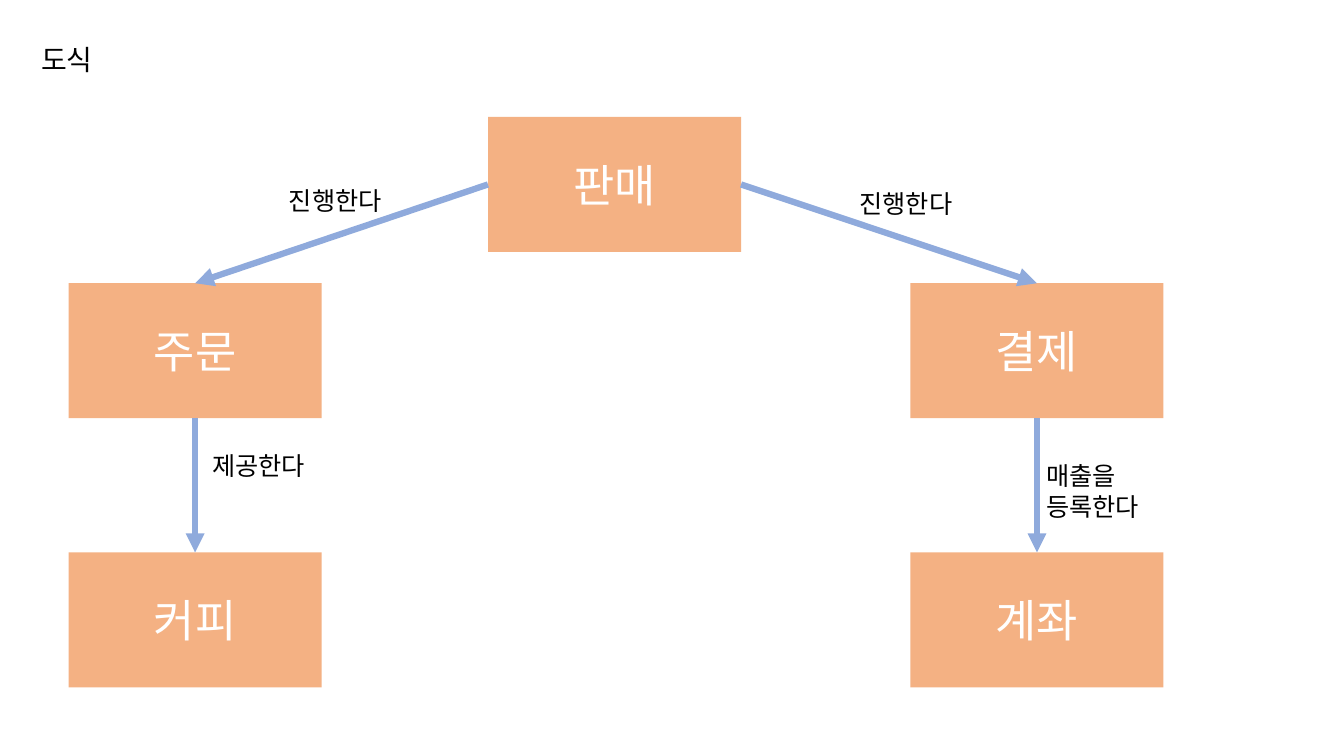
from dataclasses import dataclass

from lxml import etree
from pptx import Presentation
from pptx import util as u
from pptx.dml.color import RGBColor
from pptx.enum import shapes, text
from pptx.oxml import ns

PEACH = RGBColor(0xF4, 0xB1, 0x83)
BLUE = RGBColor(0x8F, 0xAA, 0xDC)
WHITE = RGBColor(255, 255, 255)
BLACK = RGBColor(0, 0, 0)
FONT = "Noto Sans CJK KR"
WIDE, HIGH = 2.51, 1.34
LEFT, MID, RIGHT = 0.68, 4.84, 9.03
TOP, CENTER, BASE = 1.16, 2.81, 5.48
NORTH, WEST, SOUTH, EAST = range(4)
START, CENTRED = text.PP_ALIGN.LEFT, text.PP_ALIGN.CENTER


@dataclass
class Box:
    name: str
    x: float
    y: float


@dataclass
class Arrow:
    start: str
    out: int
    end: str
    into: int


@dataclass
class Label:
    words: str
    x: float
    y: float
    w: float = 1.25
    h: float = 0.4
    size: int = 18
    align: text.PP_ALIGN = CENTRED


BOXES = [
    Box("판매", MID, TOP),
    Box("커피", LEFT, BASE),
    Box("주문", LEFT, CENTER),
    Box("결제", RIGHT, CENTER),
    Box("계좌", RIGHT, BASE),
]
ARROWS = [
    Arrow("판매", WEST, "주문", NORTH),
    Arrow("판매", EAST, "결제", NORTH),
    Arrow("주문", SOUTH, "커피", NORTH),
    Arrow("결제", SOUTH, "계좌", NORTH),
]
LABELS = [
    Label("도식", 0.31, 0.37, 12.76, 0.44, 20, START),
    Label("제공한다", 1.94, 4.42),
    Label("매출을\n등록한다", 10.28, 4.52, 1.43, 0.71, align=START),
    Label("진행한다", 2.7, 1.79),
    Label("진행한다", 8.36, 1.82),
]


def apply(target, style: dict) -> None:
    for key, value in style.items():
        setattr(target, key, value)


def write(frame, words: str, size: int, color: RGBColor, align) -> None:
    apply(frame, {"word_wrap": True, "text": words})
    for para in frame.paragraphs:
        para.alignment = align
        for run in para.runs:
            run.font.color.rgb = color
            apply(run.font, {"size": u.Pt(size), "name": FONT})
            east = etree.SubElement(run.font._element, ns.qn("a:ea"))
            east.set("typeface", FONT)


def draw_box(slide, box: Box):
    area = map(u.Inches, (box.x, box.y, WIDE, HIGH))
    shape = slide.shapes.add_shape(shapes.MSO_SHAPE.RECTANGLE, *area)
    shape.shadow.inherit = False
    shape.fill.solid()
    shape.fill.fore_color.rgb = PEACH
    shape.line.fill.background()
    shape.text_frame.vertical_anchor = text.MSO_ANCHOR.MIDDLE
    write(shape.text_frame, box.name, 32, WHITE, CENTRED)
    return shape


def draw_arrow(slide, arrow: Arrow, nodes: dict) -> None:
    link = slide.shapes.add_connector(shapes.MSO_CONNECTOR.STRAIGHT, 0, 0, 0, 0)
    link.begin_connect(nodes[arrow.start], arrow.out)
    link.end_connect(nodes[arrow.end], arrow.into)
    link.line.color.rgb = BLUE
    link.line.width = u.Pt(4.5)
    tip = etree.SubElement(link.line._get_or_add_ln(), ns.qn("a:tailEnd"))
    tip.set("type", "triangle")
    etree.SubElement(link._element.spPr, ns.qn("a:effectLst"))


def draw_label(slide, label: Label) -> None:
    area = map(u.Inches, (label.x, label.y, label.w, label.h))
    frame = slide.shapes.add_textbox(*area).text_frame
    frame.auto_size = text.MSO_AUTO_SIZE.SHAPE_TO_FIT_TEXT
    write(frame, label.words, label.size, BLACK, label.align)


def main() -> None:
    deck = Presentation()
    apply(deck, {"slide_width": u.Inches(13.33), "slide_height": u.Inches(7.5)})
    slide = deck.slides.add_slide(deck.slide_layouts[6])
    nodes = {box.name: draw_box(slide, box) for box in BOXES}
    for arrow in ARROWS:
        draw_arrow(slide, arrow, nodes)
    for label in LABELS:
        draw_label(slide, label)
    deck.save("out.pptx")


if __name__ == "__main__":
    main()
